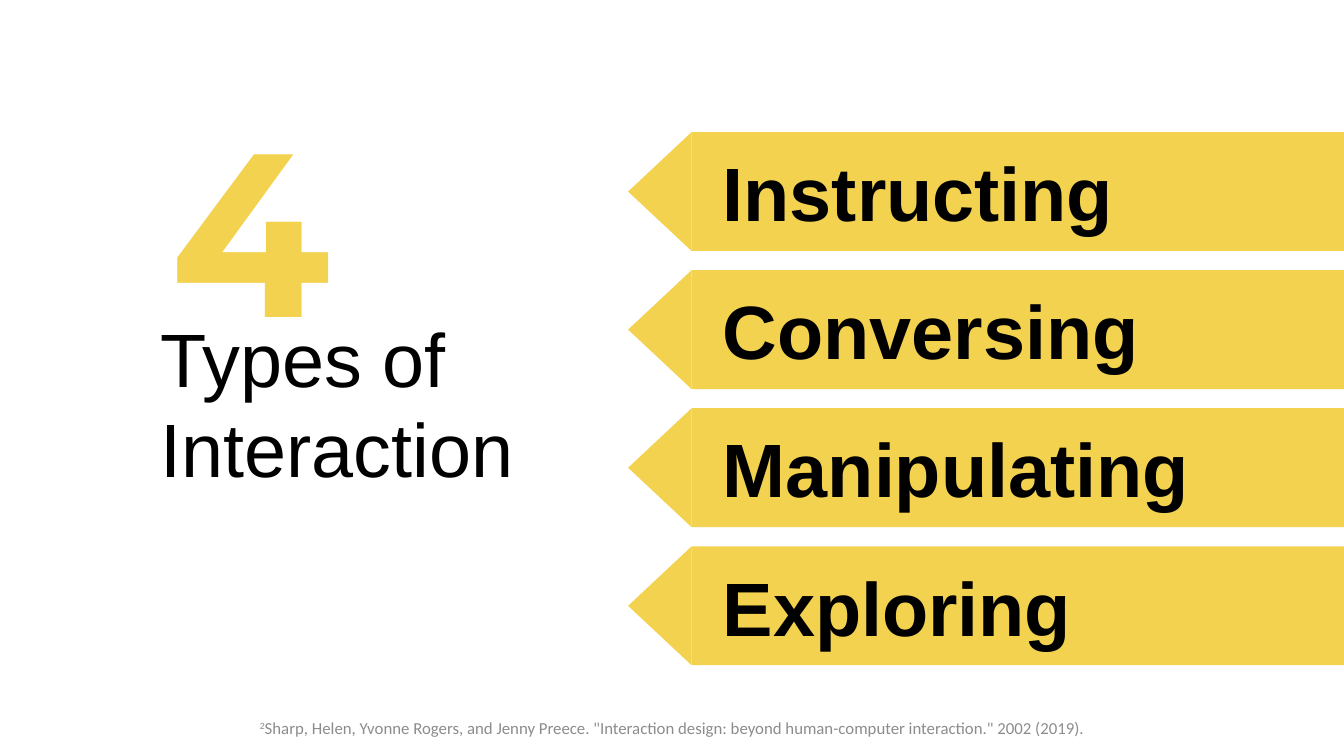
import pptx
import pptx.util
import pptx.dml.color
import pptx.enum.shapes
import pptx.enum.text
from dataclasses import dataclass

INTERACTIONS = ["Instructing", "Conversing", "Manipulating", "Exploring"]
COUNT = str(len(INTERACTIONS))
HEADING = ["Types of", "Interaction"]
CITATION = ('Sharp, Helen, Yvonne Rogers, and Jenny Preece. "Interaction design: '
            'beyond human-computer interaction." 2002 (2019).')
CITATION_MARK = "2"


@dataclass(frozen=True)
class Theme:
    yellow: str = "F3D24F"
    black: str = "000000"
    grey: str = "8C8C8C"
    body: str = "Arial"
    display: str = "Montserrat"
    footer: str = "Calibri"
    large: int = 54
    huge: int = 166
    small: int = 12


T = Theme()
W, H = 13.33, 7.5
BAR_LEFT, BAR_TOP, BAR_H, BAR_PITCH = 6.86, 1.31, 1.18, 1.37
TIP_W = 0.63
LABEL_INSET = 0.31
HEADING_LEFT = 1.59

Inches = pptx.util.Inches
SHAPES = pptx.enum.shapes.MSO_SHAPE
ANCHOR = pptx.enum.text.MSO_ANCHOR
ALIGN = pptx.enum.text.PP_ALIGN


def rgb(color):
    return pptx.dml.color.RGBColor.from_string(color)


def add_run(p, text, font=T.body, size=T.large, color=T.black, bold=False, raised=False):
    r = p.add_run()
    r.text = text
    r.font.name, r.font.size, r.font.bold = font, pptx.util.Pt(size), bold
    r.font.color.rgb = rgb(color)
    if raised:
        r._r.get_or_add_rPr().set("baseline", "30000")


def write(sp, lines, anchor=ANCHOR.MIDDLE, align=ALIGN.LEFT,
          insets=(0.1, 0.05, 0.1, 0.05), **style):
    """Fill a shape with one paragraph per line and return its last paragraph."""
    tf = sp.text_frame
    tf.word_wrap = True
    tf.vertical_anchor = anchor
    tf.margin_left, tf.margin_top, tf.margin_right, tf.margin_bottom = map(Inches, insets)
    for i, line in enumerate(lines):
        p = tf.add_paragraph() if i else tf.paragraphs[0]
        p.alignment = align
        add_run(p, line, **style)
    return p


def add_block(s, kind, *box):
    sp = s.shapes.add_shape(kind, *map(Inches, box))
    sp.shadow.inherit = False
    sp.fill.solid()
    sp.fill.fore_color.rgb = rgb(T.yellow)
    sp.line.fill.background()
    return sp


def add_text(s, box, lines, **style):
    return write(s.shapes.add_textbox(*map(Inches, box)), lines, **style)


def add_bar(s, row, label):
    top = BAR_TOP + row * BAR_PITCH
    bar = add_block(s, SHAPES.RECTANGLE, BAR_LEFT, top, W - BAR_LEFT, BAR_H)
    write(bar, [label], bold=True, insets=(LABEL_INSET, 0.05, 0.1, 0.05))
    # The tip is turned about its centre, so its box is as wide as the bar is high.
    tip = add_block(s, SHAPES.ISOSCELES_TRIANGLE, BAR_LEFT - (TIP_W + BAR_H) / 2,
                    top + (BAR_H - TIP_W) / 2, BAR_H, TIP_W)
    tip.rotation = 270


def main():
    prs = pptx.Presentation()
    prs.slide_width, prs.slide_height = Inches(W), Inches(H)
    s = prs.slides.add_slide(prs.slide_layouts[6])
    for row, label in enumerate(INTERACTIONS):
        add_bar(s, row, label)
    add_text(s, (HEADING_LEFT, 3.08, 4.13, 1.82), HEADING, insets=(0, 0, 0, 0))
    add_text(s, (HEADING_LEFT, 0.79, 2.66, 2.89), [COUNT], anchor=ANCHOR.TOP,
             font=T.display, size=T.huge, color=T.yellow, bold=True)
    footer = dict(font=T.footer, size=T.small, color=T.grey)
    p = add_text(s, (1.78, 7.02, 9.78, 0.4), [CITATION_MARK], align=ALIGN.CENTER,
                 raised=True, **footer)
    add_run(p, CITATION, **footer)
    prs.save("out.pptx")


if __name__ == "__main__":
    main()
